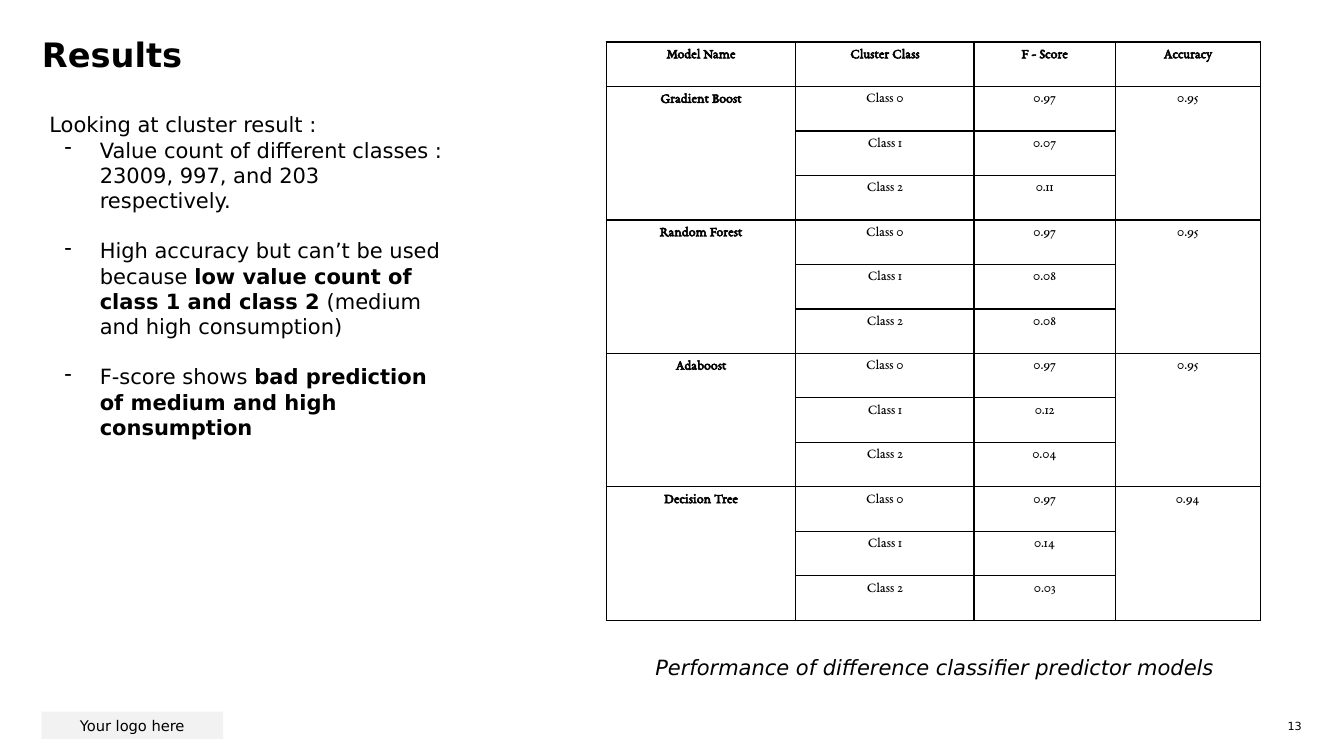
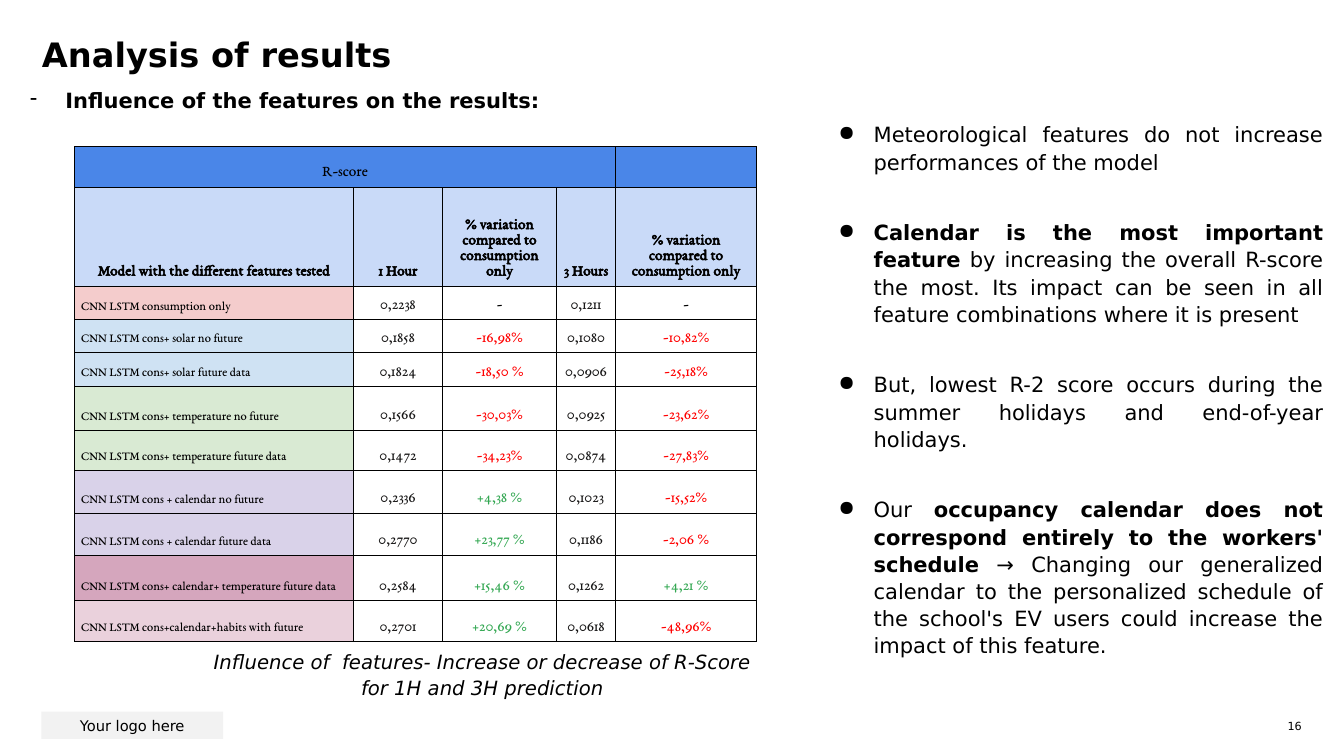
from dataclasses import dataclass

from lxml import etree
from pptx import Presentation
from pptx.dml.color import RGBColor
from pptx.enum.shapes import MSO_SHAPE
from pptx.enum.text import MSO_ANCHOR, MSO_AUTO_SIZE, PP_ALIGN
from pptx.oxml.ns import qn
from pptx.util import Pt

LEFT, MID, RIGHT, FULL = PP_ALIGN.LEFT, PP_ALIGN.CENTER, PP_ALIGN.RIGHT, PP_ALIGN.JUSTIFY
TOP, CORE, BASE = MSO_ANCHOR.TOP, MSO_ANCHOR.MIDDLE, MSO_ANCHOR.BOTTOM
RECT = MSO_SHAPE.RECTANGLE


@dataclass(frozen=True)
class Theme:
    # Fonts
    sans: str = "DejaVu Sans"
    serif: str = "EB Garamond"
    # Colours
    ink: str = "000000"
    soft: str = "171616"
    logo: str = "F2F2F2"
    band: str = "4A86E8"
    head: str = "C9DAF8"
    loss: str = "FF0000"
    gain: str = "34A853"
    rose: str = "F4CCCC"
    sky: str = "CFE2F3"
    leaf: str = "D9EAD3"
    lilac: str = "D9D2E9"
    plum: str = "D5A6BD"
    pink: str = "EAD1DC"
    # Type sizes
    title: float = 24
    body: float = 15
    note: float = 14
    tag: float = 10.5
    page: float = 8
    score: float = 11
    grid: float = 10
    label: float = 9


THEME = Theme()


@dataclass
class Cell:
    text: str
    size: float = THEME.score
    color: str = THEME.ink
    fill: str = ""
    bold: bool = False
    align: int = MID


class Deck:
    def __init__(self, theme):
        self.theme = theme
        self.prs = Presentation()
        self.prs.slide_width, self.prs.slide_height = Pt(960), Pt(540)
        self.slide = None

    def page(self, title, number):
        """Start a slide with its title, logo box and page number."""
        t = self.theme
        self.slide = self.prs.slides.add_slide(self.prs.slide_layouts[5])
        shape = self.slide.shapes.title
        shape.left, shape.top, shape.width, shape.height = Pt(30), Pt(30), Pt(900), Pt(38)
        frame = self.frame(shape, 0, TOP)
        self.para(frame, ["", title], t.title, space=0.8)

        logo = self.slide.shapes.add_shape(RECT, Pt(29.5), Pt(508.3), Pt(130), Pt(19.5))
        logo.shadow.inherit = False
        logo.fill.solid()
        logo.fill.fore_color.rgb = RGBColor.from_string(t.logo)
        logo.line.fill.background()
        self.para(self.frame(logo, 7.2, CORE), ["Your logo here"], t.tag, MID)
        self.para(self.box(900, 510.5, 30, 16.5, 0, CORE), [number], t.page, RIGHT)

    def frame(self, shape, inset, anchor):
        frame = shape.text_frame
        frame.word_wrap = True
        frame.auto_size = MSO_AUTO_SIZE.NONE
        frame.vertical_anchor = anchor
        frame.margin_left = frame.margin_right = Pt(inset)
        frame.margin_top = frame.margin_bottom = Pt(inset)
        return frame

    def box(self, x, y, w, h, inset=0, anchor=TOP):
        shape = self.slide.shapes.add_textbox(Pt(x), Pt(y), Pt(w), Pt(h))
        return self.frame(shape, inset, anchor)

    def run(self, para, text, size, font, color, bold=False, italic=False):
        run = para.add_run()
        run.text = text
        run.font.name, run.font.size = font, Pt(size)
        run.font.bold, run.font.italic = bold, italic
        run.font.color.rgb = RGBColor.from_string(color)

    def para(self, frame, parts, size, align=LEFT, space=1.0, gap=0, mark="", italic=False):
        """Add a paragraph; its parts are plain and bold in turn."""
        para = frame.paragraphs[0]
        if para.runs:
            para = frame.add_paragraph()
        para.alignment, para.line_spacing, para.space_before = align, space, Pt(gap)
        if mark:
            self.bullet(para, mark)
        for i, text in enumerate(parts):
            if text:
                self.run(para, text, size, self.theme.sans, self.theme.ink, i % 2 == 1, italic)

    def bullet(self, para, mark):
        props = para._p.get_or_add_pPr()
        props.set("marL", str(Pt(36)))
        props.set("indent", str(-Pt(25.2)))
        tint = etree.SubElement(props, qn("a:buClr"))
        etree.SubElement(tint, qn("a:srgbClr"), val=self.theme.ink)
        etree.SubElement(props, qn("a:buChar"), char=mark)

    def table(self, x, y, cols, rows, cells, anchor, line, spans):
        """Draw a bordered grid; spans are (top, left, bottom, right)."""
        holder = self.slide.shapes.add_table(
            len(rows), len(cols), Pt(x), Pt(y), Pt(sum(cols)), Pt(sum(rows)))
        table = holder.table
        table.first_row = table.horz_banding = False
        for col, width in zip(table.columns, cols):
            col.width = Pt(width)
        for row, height in zip(table.rows, rows):
            row.height = Pt(height)
        for r, items in enumerate(cells):
            for c, item in enumerate(items):
                self.cell(table.cell(r, c), item, anchor, line)
        for top, left, bottom, right in spans:
            table.cell(top, left).merge(table.cell(bottom, right))

    def cell(self, cell, item, anchor, line):
        cell.vertical_anchor = anchor
        cell.margin_left = cell.margin_right = Pt(4.5)
        cell.margin_top = cell.margin_bottom = Pt(4.5)
        self.border(cell, line)
        if item.fill:
            cell.fill.solid()
            cell.fill.fore_color.rgb = RGBColor.from_string(item.fill)
        else:
            cell.fill.background()
        para = cell.text_frame.paragraphs[0]
        para.alignment = item.align
        if item.text:
            self.run(para, item.text, item.size, self.theme.serif, item.color, item.bold)
        else:
            etree.SubElement(para._p, qn("a:endParaRPr"), sz=str(int(item.size * 100)))

    def border(self, cell, line):
        props = cell._tc.get_or_add_tcPr()
        for side in ("a:lnL", "a:lnR", "a:lnT", "a:lnB"):
            edge = etree.SubElement(props, qn(side), w=str(Pt(line)))
            fill = etree.SubElement(edge, qn("a:solidFill"))
            etree.SubElement(fill, qn("a:srgbClr"), val=self.theme.ink)


MODELS = [
    ("Gradient Boost", "0.95", ("0.97", "0.07", "0.11")),
    ("Random Forest", "0.95", ("0.97", "0.08", "0.08")),
    ("Adaboost", "0.95", ("0.97", "0.12", "0.04")),
    ("Decision Tree", "0.94", ("0.97", "0.14", "0.03")),
]

# Label, fill, then score and variation for 1 hour and for 3 hours
TESTS = [
    ("CNN LSTM consumption only", THEME.rose, "0,2238", "-", "0,1211", "-"),
    ("CNN LSTM cons+ solar no future", THEME.sky, "0,1858", "-16,98%", "0,1080", "-10,82%"),
    ("CNN LSTM cons+ solar future data", THEME.sky, "0,1824", "-18,50 %", "0,0906", "-25,18%"),
    ("CNN LSTM cons+ temperature no future", THEME.leaf,
     "0,1566", "-30,03%", "0,0925", "-23,62%"),
    ("CNN LSTM cons+ temperature future data", THEME.leaf,
     "0,1472", "-34,23%", "0,0874", "-27,83%"),
    ("CNN LSTM cons + calendar no future", THEME.lilac,
     "0,2336", "+4,38 %", "0,1023", "-15,52%"),
    ("CNN LSTM cons + calendar future data", THEME.lilac,
     "0,2770", "+23,77 %", "0,1186", "-2,06 %"),
    ("CNN LSTM cons+ calendar+ temperature future data", THEME.plum,
     "0,2584", "+15,46 %", "0,1262", "+4,21 %"),
    ("CNN LSTM cons+calendar+habits with future", THEME.pink,
     "0,2701", "+20,69 %", "0,0618", "-48,96%"),
]


def tint(value):
    """Colour of a score, or of a variation by its sign."""
    if value == "-":
        return THEME.ink
    return {"-": THEME.loss, "+": THEME.gain}.get(value[0], THEME.soft)


def results(deck):
    t = deck.theme
    deck.page("Results", "13")

    # Findings
    text = deck.box(35.3, 80, 288.7, 363.6)
    deck.para(text, ["Looking at cluster result :"], t.body)
    points = [
        ["Value count of different classes : 23009, 997, and 203 respectively."],
        ["High accuracy but can’t be used because ", "low value count of class 1 and class 2",
         " (medium and high consumption)"],
        ["F-score shows ", "bad prediction of medium and high consumption"],
    ]
    for i, parts in enumerate(points):
        deck.para(text, parts, t.body, gap=18 if i else 0, mark="-")

    # Model scores
    heads = ("Model Name", "Cluster Class", "F - Score", "Accuracy")
    cells = [[Cell(h, t.grid, bold=True) for h in heads]]
    for name, rate, scores in MODELS:
        for i, score in enumerate(scores):
            first = i == 0
            cells.append([
                Cell(name if first else "", t.grid, bold=True),
                Cell(f"Class {i}", t.grid),
                Cell(score, t.grid),
                Cell(rate if first else "", t.grid),
            ])
    spans = [(r, c, r + 2, c) for r in range(1, len(cells), 3) for c in (0, 3)]
    deck.table(433, 30, (135.4, 127.4, 100.8, 103.7), [31.8] * len(cells), cells, TOP, 1, spans)

    # Caption
    deck.para(deck.box(452, 460, 431.5, 32.5, 7.2),
              ["Performance of difference classifier predictor models"], t.body, MID, italic=True)


def analysis(deck):
    t = deck.theme
    deck.page("Analysis of results", "16")
    deck.para(deck.box(10.8, 62.6, 391, 30),
              ["", "Influence of the features on the results:"], t.body, mark="-")

    # Caption
    deck.para(deck.box(139.7, 455.8, 409.7, 49.7, 7.2),
              ["Influence of  features- Increase or decrease of R-Score for 1H and 3H prediction"],
              t.note, MID, 1.08, italic=True)

    # Conclusions
    text = deck.box(581, 78.5, 371.5, 402.5, 7.2)
    points = [
        ["Meteorological features do not increase performances of the model"],
        ["", "Calendar is the most important feature",
         " by increasing the overall R-score the most. Its impact can be seen in all "
         "feature combinations where it is present"],
        ["But, lowest R-2 score occurs during the summer holidays and end-of-year holidays."],
        ["Our ", "occupancy calendar does not correspond entirely to the workers' schedule",
         " → Changing our generalized calendar to the personalized schedule of the school's "
         "EV users could increase the impact of this feature."],
    ]
    for i, parts in enumerate(points):
        deck.para(text, parts, t.body, FULL, 1.08, 31 if i else 0, "●")

    # Feature scores
    change = "% variation compared to consumption only"
    heads = ("Model with the different features tested", "1 Hour", change, "3 Hours", change)
    cells = [
        [Cell(x, fill=t.band) for x in ("R-score", "", "", "", "")],
        [Cell(x, fill=t.head, bold=True) for x in heads],
    ]
    for label, fill, *values in TESTS:
        row = [Cell(label, t.label, fill=fill, align=LEFT)]
        cells.append(row + [Cell(v, color=tint(v)) for v in values])
    rows = (29, 70.4, 24.2, 23.5, 24.2, 31, 29, 30.4, 30, 32.5, 29.3)
    deck.table(53.3, 104.9, (199.3, 63.5, 81.5, 42.2, 100.7), rows, cells, BASE, 0.75,
               [(0, 0, 0, 3)])


def main():
    deck = Deck(THEME)
    results(deck)
    analysis(deck)
    deck.prs.save("out.pptx")


if __name__ == "__main__":
    main()
